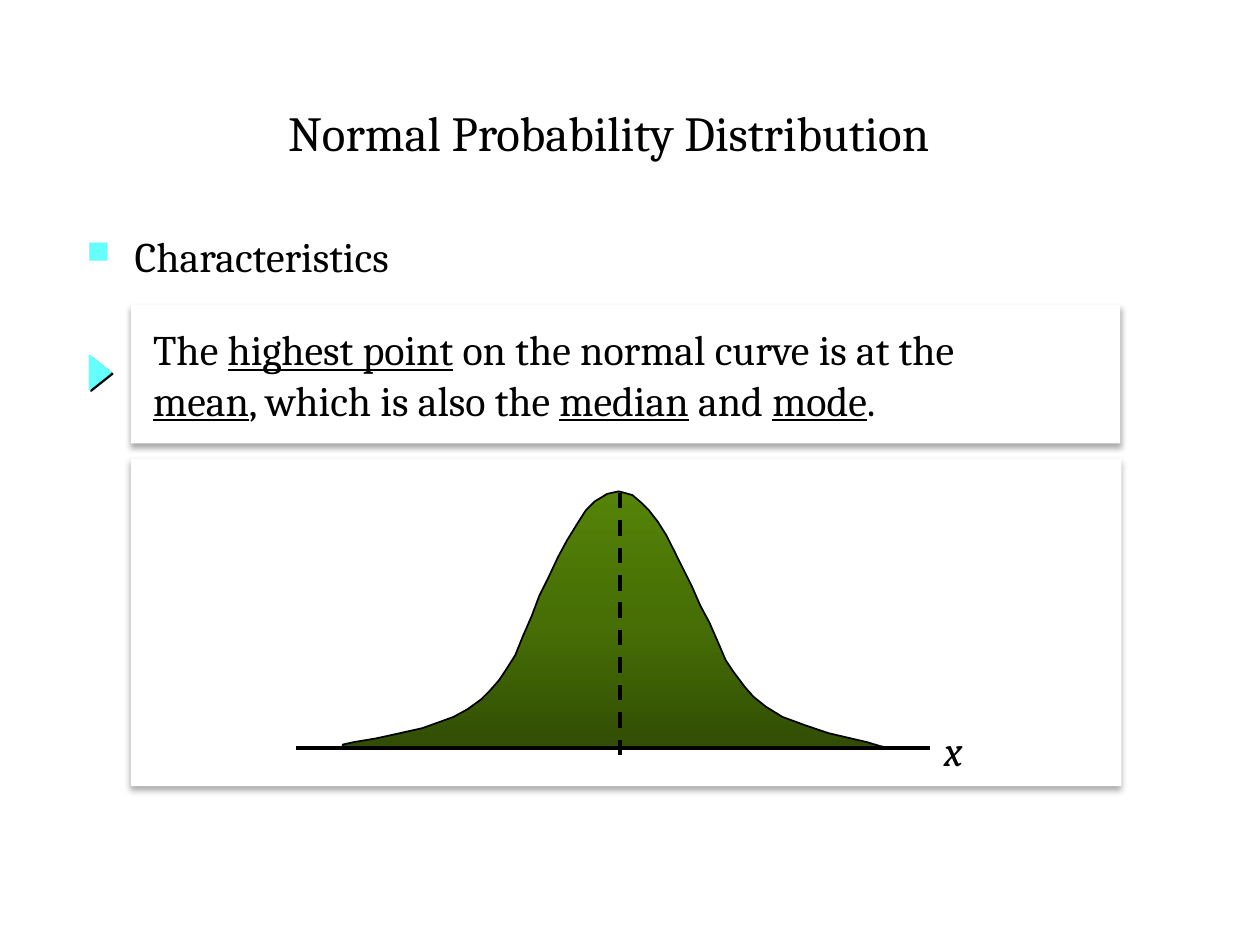
import dataclasses
import typing

import lxml.etree
import pptx
import pptx.dml.color
import pptx.enum.dml
import pptx.enum.shapes
import pptx.enum.text
import pptx.oxml
import pptx.oxml.ns
import pptx.util

RGB = pptx.dml.color.RGBColor
BLACK = RGB(0x00, 0x00, 0x00)
WHITE = RGB(0xFF, 0xFF, 0xFF)
CYAN = RGB(0x66, 0xFF, 0xFF)
GREENS = ((0, RGB(0x32, 0x4E, 0x04)), (50, RGB(0x47, 0x6F, 0x06)), (100, RGB(0x54, 0x83, 0x07)))

COLS, ROWS = 100, 75
CELL = pptx.util.Inches(0.1)
KIND = pptx.enum.shapes.MSO_SHAPE
ALIGN = pptx.enum.text.PP_ALIGN
ANCHOR = pptx.enum.text.MSO_ANCHOR
NSMAP = 'xmlns:a="http://schemas.openxmlformats.org/drawingml/2006/main"'

# Columns and rows of the bell, from its peak down each side
LEFT = (
    (49.1, 39), (48.2, 39.2), (47.2, 39.8), (46.5, 40.5), (45.8, 41.6), (45, 42.9),
    (44.3, 44.2), (43.5, 45.9), (42.8, 47.3), (42.2, 48.9), (41.5, 50.5), (40.9, 52),
    (40.2, 53.1), (39.6, 54), (38.9, 54.8), (38.2, 55.5), (37.1, 56.3), (36, 56.9),
    (34.9, 57.3), (33.5, 57.8), (31.7, 58.2), (29.9, 58.6), (28.1, 58.9), (27.2, 59.1),
)
RIGHT = (
    (49.5, 39.1), (50.2, 39.3), (50.9, 39.9), (51.5, 40.5), (52.2, 41.4), (52.9, 42.5),
    (53.5, 43.7), (54.1, 44.9), (54.9, 46.5), (55.6, 48.1), (56.3, 49.4), (57, 51),
    (57.6, 52.4), (58.2, 53.3), (59.1, 54.5), (59.8, 55.3), (60.8, 56.1), (62.1, 56.9),
    (64, 57.6), (65.8, 58.2), (67.5, 58.6), (68.8, 58.9), (69.8, 59.2), (70.2, 59.3),
)
BASE = ((27.2, 59.4),)


@dataclasses.dataclass(frozen=True)
class Box:
    """A place on the grid, in columns and rows."""
    col: float
    row: float
    wide: float
    high: float

    def frame(self) -> list[int]:
        return [grid(n) for n in (self.col, self.row, self.wide, self.high)]


@dataclasses.dataclass(frozen=True)
class Shade:
    blur: float
    dist: float
    angle: int
    alpha: int


@dataclasses.dataclass(frozen=True)
class Label:
    """Text in a box; a part between underscores is underlined."""
    box: Box
    lines: tuple[str, ...]
    size: int = 24
    italic: bool = False
    align: typing.Any = ALIGN.LEFT
    anchor: typing.Any = ANCHOR.TOP
    bullet: bool = False


@dataclasses.dataclass(frozen=True)
class Rule:
    start: tuple[float, float]
    end: tuple[float, float]
    dash: typing.Any = None


SOFT = Shade(3.5, 2.2, 90, 32)
HARD = Shade(0, 1.4, 45, 100)
CHART = Box(10.4, 36.4, 78.6, 26)
NOTE = Box(10.4, 24.2, 78.5, 11)
ARROW = Box(6.6, 28.7, 2.7, 1.7)

LABELS = (
    Label(Box(5.8, 6.7, 85, 7.5), ("Normal Probability Distribution",), size=28,
          align=ALIGN.CENTER, anchor=ANCHOR.MIDDLE),
    Label(Box(5.9, 17.8, 38.3, 5.7), ("Characteristics",), bullet=True),
    Label(Box(73.8, 57, 3.7, 5), ("x",), italic=True, align=ALIGN.CENTER),
)
CLAIM = Label(NOTE, ("The _highest point_ on the normal curve is at the",
                     "_mean_, which is also the _median_ and _mode_."), anchor=ANCHOR.MIDDLE)
RULES = (
    Rule((49.2, 39.1), (49.2, 60.3), pptx.enum.dml.MSO_LINE.DASH),
    Rule((23.5, 59.4), (73.8, 59.4)),
)


def grid(count: float) -> int:
    return round(count * CELL)


def apply(target: typing.Any, values: dict[str, typing.Any]) -> None:
    for name, value in values.items():
        setattr(target, name, value)


def add_node(parent: typing.Any, text: str) -> None:
    parent.append(pptx.oxml.parse_xml(text))


def add_shade(shape: typing.Any, shade: Shade) -> None:
    add_node(shape._element.spPr, f'<a:effectLst {NSMAP}><a:outerShdw '
             f'blurRad="{pptx.util.Pt(shade.blur)}" dist="{pptx.util.Pt(shade.dist)}" '
             f'dir="{shade.angle * 60000}" algn="ctr" rotWithShape="0"><a:srgbClr val="{BLACK}">'
             f'<a:alpha val="{shade.alpha * 1000}"/></a:srgbClr></a:outerShdw></a:effectLst>')


def add_panel(shapes: typing.Any, kind: typing.Any, box: Box, fill: RGB, shade: Shade,
              edge: RGB | None = None) -> typing.Any:
    panel = shapes.add_shape(kind, *box.frame())
    panel.fill.solid()
    panel.fill.fore_color.rgb = fill
    if edge is None:
        panel.line.fill.background()
    else:
        panel.line.color.rgb = edge
        panel.line.width = pptx.util.Pt(1)
    add_shade(panel, shade)
    return panel


def add_mark(para: typing.Any) -> None:
    """Give the paragraph a small square bullet and a hanging indent."""
    props = para._p.get_or_add_pPr()
    indent = grid(3.8)
    props.set("marL", str(indent))
    props.set("indent", str(-indent))
    for node in (f'<a:buClr {NSMAP}><a:srgbClr val="{CYAN}"/></a:buClr>',
                 f'<a:buSzPct {NSMAP} val="75000"/>',
                 f'<a:buChar {NSMAP} char="■"/>'):
        add_node(props, node)


def write(frame: typing.Any, label: Label, inset: float = 1) -> None:
    apply(frame, {"word_wrap": len(label.lines[0]) > 1, "vertical_anchor": label.anchor,
                  "margin_left": grid(inset)})
    for index, line in enumerate(label.lines):
        para = frame.paragraphs[0] if index == 0 else frame.add_paragraph()
        para.alignment = label.align
        if label.bullet:
            add_mark(para)
        for part, words in enumerate(line.split("_")):
            if words:
                run = para.add_run()
                run.text = words
                apply(run.font, {"name": "Cambria", "size": pptx.util.Pt(label.size),
                                 "italic": label.italic, "underline": part % 2 == 1})
                run.font.color.rgb = BLACK


def add_bell(shapes: typing.Any) -> None:
    points = [(grid(col), grid(row)) for col, row in (*LEFT, *BASE, *RIGHT[::-1])]
    maker = shapes.build_freeform(*points[0], scale=1.0)
    maker.add_line_segments(points[1:], close=True)
    bell = maker.convert_to_shape()
    bell.shadow.inherit = False
    bell.fill.gradient()
    bell.fill.gradient_angle = 90
    stops = bell._element.spPr.find(".//" + pptx.oxml.ns.qn("a:gsLst"))
    for old in list(stops):
        stops.remove(old)
    for place, color in GREENS:
        add_node(stops, f'<a:gs {NSMAP} pos="{place * 1000}"><a:srgbClr val="{color}"/></a:gs>')
    bell.line.color.rgb = BLACK
    bell.line.width = pptx.util.Pt(1)


def add_rule(shapes: typing.Any, rule: Rule) -> None:
    ends = [grid(n) for n in (*rule.start, *rule.end)]
    line = shapes.add_connector(pptx.enum.shapes.MSO_CONNECTOR.STRAIGHT, *ends)
    apply(line.line, {"width": pptx.util.Pt(2.25), "dash_style": rule.dash})
    line.line.color.rgb = BLACK
    lxml.etree.SubElement(line._element.spPr, pptx.oxml.ns.qn("a:effectLst"))


def main() -> None:
    deck = pptx.Presentation()
    apply(deck, {"slide_width": grid(COLS), "slide_height": grid(ROWS)})
    shapes = deck.slides.add_slide(deck.slide_layouts[6]).shapes
    add_panel(shapes, KIND.RECTANGLE, CHART, WHITE, SOFT)
    note = add_panel(shapes, KIND.RECTANGLE, NOTE, WHITE, SOFT)
    write(note.text_frame, CLAIM, inset=1.75)
    add_bell(shapes)
    for rule in RULES:
        add_rule(shapes, rule)
    for label in LABELS:
        write(shapes.add_textbox(*label.box.frame()).text_frame, label)
    arrow = add_panel(shapes, KIND.ISOSCELES_TRIANGLE, ARROW, CYAN, HARD, edge=CYAN)
    arrow.rotation = 90
    deck.save("out.pptx")


if __name__ == "__main__":
    main()
